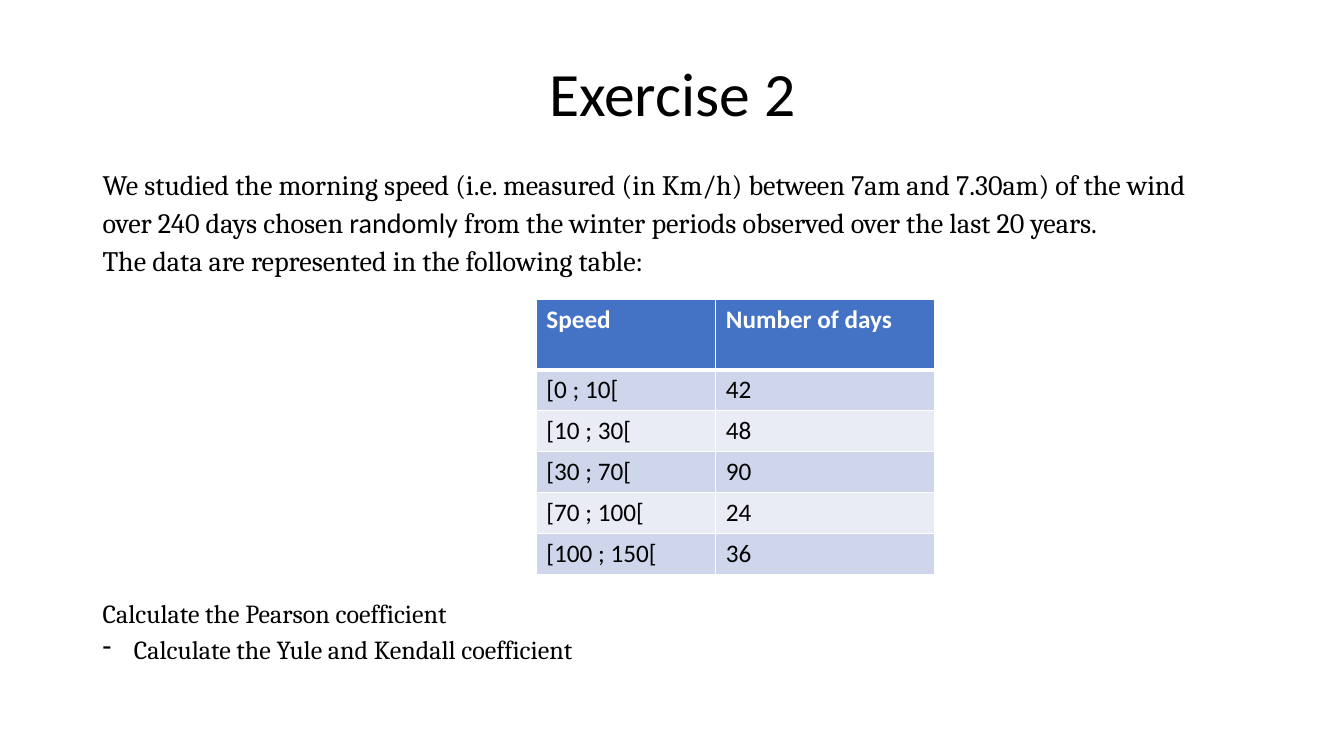
import dataclasses

import lxml.etree
import pptx
import pptx.dml.color
import pptx.enum.text
import pptx.oxml.ns
import pptx.util

Inches = pptx.util.Inches
Pt = pptx.util.Pt


@dataclasses.dataclass(frozen=True)
class Theme:
    sans: str = "Calibri"
    serif: str = "Cambria"
    black: str = "000000"
    white: str = "FFFFFF"
    header: str = "4472C4"
    bands: tuple[str, str] = ("CFD5EA", "E9EBF5")
    title_size: float = 44
    intro_size: float = 20.1
    task_size: float = 18.6
    table_size: float = 18


@dataclasses.dataclass(frozen=True)
class Span:
    text: str
    font: str


@dataclasses.dataclass(frozen=True)
class Line:
    spans: list[Span]
    bullet: str = ""


@dataclasses.dataclass(frozen=True)
class SpeedClass:
    interval: str
    days: int


THEME = Theme()
TITLE = [Line([Span("Exercise 2", THEME.sans)])]
INTRO = [
    Line([Span("We studied the morning speed (i.e. measured (in Km/h) "
               "between 7am and 7.30am) of the wind", THEME.serif)]),
    Line([Span("over 240 days chosen ", THEME.serif),
          Span("randomly ", THEME.sans),
          Span("from the winter periods observed over the last 20 years.", THEME.serif)]),
    Line([Span("The data are represented in the following table:", THEME.serif)]),
]
TASKS = [
    Line([Span("Calculate the Pearson coefficient", THEME.serif)]),
    Line([Span("Calculate the Yule and Kendall coefficient", THEME.serif)], bullet="-"),
]
HEADINGS = ("Speed", "Number of days")
SPEED_CLASSES = [
    SpeedClass("[0 ; 10[", 42),
    SpeedClass("[10 ; 30[", 48),
    SpeedClass("[30 ; 70[", 90),
    SpeedClass("[70 ; 100[", 24),
    SpeedClass("[100 ; 150[", 36),
]


def rgb(colour: str) -> pptx.dml.color.RGBColor:
    return pptx.dml.color.RGBColor.from_string(colour)


def write_text(frame, lines: list[Line], *, size: float, colour: str = THEME.black,
               bold: bool = False, spacing=None, align=None) -> None:
    """Fill a text frame with one paragraph per line."""
    for index, line in enumerate(lines):
        para = frame.paragraphs[0] if index == 0 else frame.add_paragraph()
        if line.bullet:
            properties = para._p.get_or_add_pPr()
            properties.set("marL", str(Inches(0.31)))
            properties.set("indent", str(-Inches(0.31)))
            mark = lxml.etree.SubElement(properties, pptx.oxml.ns.qn("a:buChar"))
            mark.set("char", line.bullet)
        para.alignment = align
        para.line_spacing = spacing
        for span in line.spans:
            run = para.add_run()
            run.text = span.text
            run.font.name = span.font
            run.font.size = Pt(size)
            run.font.bold = bold
            run.font.color.rgb = rgb(colour)


def add_text(page, left: float, top: float, width: float, height: float,
             lines: list[Line], *, anchor=pptx.enum.text.MSO_ANCHOR.TOP, **style) -> None:
    box = page.shapes.add_textbox(Inches(left), Inches(top), Inches(width), Inches(height))
    box.text_frame.word_wrap = True
    box.text_frame.vertical_anchor = anchor
    write_text(box.text_frame, lines, **style)


def set_borders(cell, **widths: float) -> None:
    """Draw white cell borders; widths are in points, keyed by side."""
    properties = cell._tc.get_or_add_tcPr()
    for side, width in widths.items():
        edge = lxml.etree.SubElement(properties, pptx.oxml.ns.qn(f"a:ln{side}"))
        edge.set("w", str(Pt(width)))
        fill = lxml.etree.SubElement(edge, pptx.oxml.ns.qn("a:solidFill"))
        lxml.etree.SubElement(fill, pptx.oxml.ns.qn("a:srgbClr")).set("val", THEME.white)


def add_speed_table(page) -> None:
    rows = [HEADINGS] + [(item.interval, str(item.days)) for item in SPEED_CLASSES]
    table = page.shapes.add_table(len(rows), len(HEADINGS), Inches(5.32), Inches(2.97),
                                  Inches(3.95), Inches(2.73)).table
    for column, width in zip(table.columns, (1.78, 2.17)):
        column.width = Inches(width)
    for row_index, values in enumerate(rows):
        is_header = row_index == 0
        table.rows[row_index].height = Inches(0.7 if is_header else 0.406)
        for column_index, value in enumerate(values):
            cell = table.cell(row_index, column_index)
            set_borders(cell, L=1, R=1, T=3 if row_index == 1 else 1, B=3 if is_header else 1)
            cell.fill.solid()
            cell.fill.fore_color.rgb = rgb(
                THEME.header if is_header else THEME.bands[(row_index - 1) % 2])
            write_text(cell.text_frame, [Line([Span(value, THEME.sans)])],
                       size=THEME.table_size, bold=is_header,
                       colour=THEME.white if is_header else THEME.black)


def main() -> None:
    deck = pptx.Presentation()
    deck.slide_width, deck.slide_height = Inches(13.33), Inches(7.5)
    page = deck.slides.add_slide(deck.slide_layouts[6])

    # Title
    add_text(page, 0.92, 0.23, 11.5, 1.45, TITLE, size=THEME.title_size, spacing=0.9,
             align=pptx.enum.text.PP_ALIGN.CENTER, anchor=pptx.enum.text.MSO_ANCHOR.MIDDLE)
    # Statement of the exercise
    add_text(page, 0.92, 1.57, 11.5, 1.3, INTRO, size=THEME.intro_size, spacing=Pt(27.1))
    # Wind speed table
    add_speed_table(page)
    # Questions
    add_text(page, 0.92, 5.83, 11.5, 0.9, TASKS, size=THEME.task_size, spacing=Pt(25.9))

    deck.save("out.pptx")


if __name__ == "__main__":
    main()
